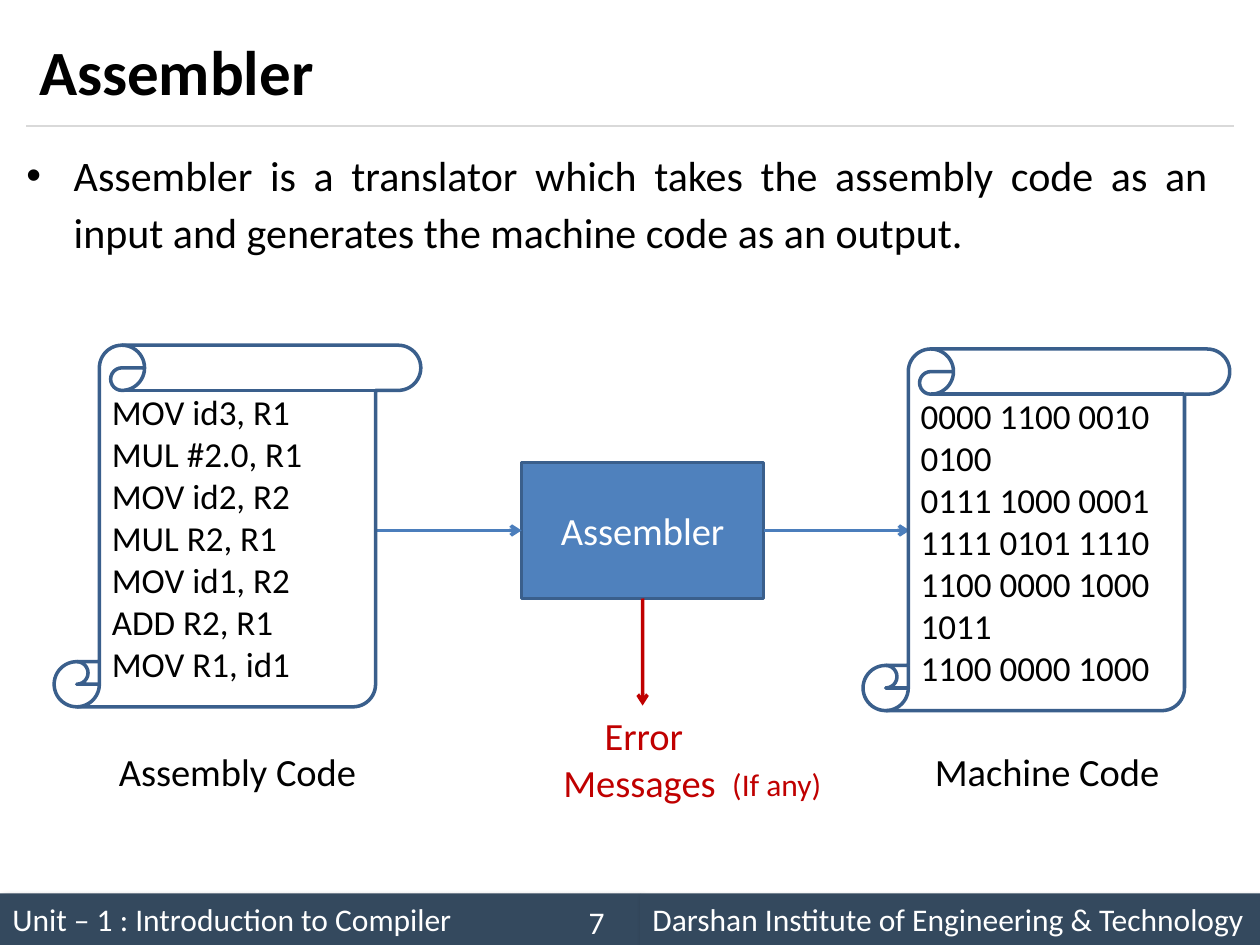
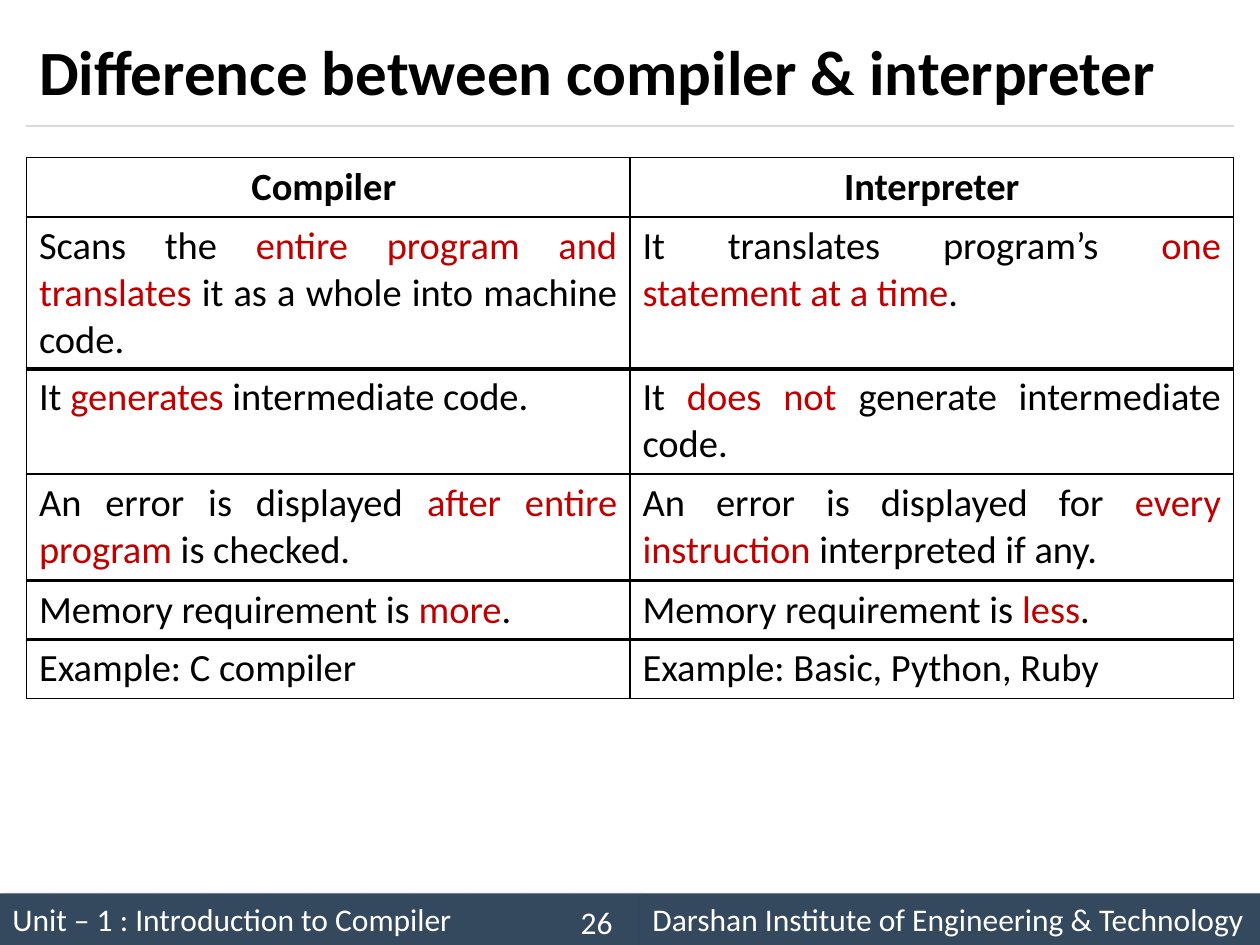
from pptx import Presentation
from pptx.dml.color import RGBColor
from pptx.enum.shapes import MSO_CONNECTOR as Conn, MSO_SHAPE as Shape
from pptx.enum.text import MSO_ANCHOR as Anchor, MSO_AUTO_SIZE as Fit, PP_ALIGN as Align
from pptx.oxml import parse_xml
from pptx.oxml.ns import nsdecls, qn
from pptx.util import Inches, Pt

FONT = "Calibri"
BLACK, WHITE, RED = "000000", "FFFFFF", "C00000"
NAVY, RULE = "34495E", "D9D9D9"
BLUE, EDGE, ARROW = "4F81BD", "3A5F8C", "4B7EBC"
LEFT, WIDTH = 0.21, 9.58
UNIT = "Unit – 1 : Introduction to Compiler"
SCHOOL = "Darshan Institute of Engineering & Technology"

ASSEMBLY = ["MOV id3, R1", "MUL #2.0, R1", "MOV id2, R2", "MUL R2, R1",
            "MOV id1, R2", "ADD R2, R1", "MOV R1, id1"]
MACHINE = ["0000 1100 0010", "0100", "0111 1000 0001", "1111 0101 1110",
           "1100 0000 1000", "1011", "1100 0000 1000"]

# Top, height, compiler text, interpreter text; asterisks enclose red words.
ROWS = [
    (1.72, 1.2, "Scans the *entire program and translates* it as a whole into machine code.",
     "It translates program’s *one statement at a time*."),
    (2.92, 0.83, "It *generates* intermediate code.",
     "It *does not *generate intermediate code."),
    (3.76, 0.83, "An error is displayed *after entire program* is checked.",
     "An error is displayed for *every instruction *interpreted if any."),
    (4.61, 0.47, "Memory requirement is *more*.", "Memory requirement is *less*."),
    (5.07, 0.47, "Example: C compiler", "Example: Basic, Python, Ruby"),
]


def rgb(code):
    return RGBColor.from_string(code)


def inches(*sizes):
    return [Inches(size) for size in sizes]


def style(para, size, color=BLACK, align=Align.LEFT, bold=False):
    para.alignment = align
    font = para.font
    font.name, font.size, font.bold = FONT, Pt(size), bold
    font.color.rgb = rgb(color)


def write(shape, lines, size, color=BLACK, align=Align.LEFT, anchor=Anchor.MIDDLE, bold=False):
    frame = shape.text_frame
    frame.text = "\n".join(lines)
    frame.word_wrap = True
    frame.auto_size = Fit.NONE
    frame.vertical_anchor = anchor
    for para in frame.paragraphs:
        style(para, size, color, align, bold)


def place(shape, *box):
    shape.left, shape.top, shape.width, shape.height = inches(*box)


def block(shapes, kind, box, fill=None, edge=None):
    shape = shapes.add_shape(kind, *inches(*box))
    shape.shadow.inherit = False
    if fill:
        shape.fill.solid()
        shape.fill.fore_color.rgb = rgb(fill)
    else:
        shape.fill.background()
    if edge:
        shape.line.color.rgb = rgb(edge)
        shape.line.width = Pt(2)
    else:
        shape.line.fill.background()
    return shape


def label(shapes, box, lines, size, color=BLACK, align=Align.CENTER):
    write(shapes.add_textbox(*inches(*box)), lines, size, color, align)


def line(slide, start, end, color, width=2, head=True):
    link = slide.shapes.add_connector(Conn.STRAIGHT, *inches(*start, *end))
    link.line.color.rgb = rgb(color)
    link.line.width = Pt(width)
    props = link._element.spPr
    if head:
        props.find(qn("a:ln")).append(
            parse_xml(f'<a:tailEnd {nsdecls("a")} type="arrow"/>'))
    props.append(parse_xml(f'<a:effectLst {nsdecls("a")}/>'))
    return link


def band(slide, box, text):
    """Footer band with a soft shadow."""
    shape = block(slide.shapes, Shape.RECTANGLE, box, NAVY)
    shape._element.spPr.find(qn("a:effectLst")).append(parse_xml(
        f'<a:outerShdw {nsdecls("a")} blurRad="{Pt(4)}" dist="{Pt(3)}" dir="2700000">'
        '<a:srgbClr val="000000"><a:alpha val="40000"/></a:srgbClr></a:outerShdw>'))
    write(shape, [text], 18, WHITE)


def page(deck, layout, title, number):
    """Add a slide with the shared title, rule and footer."""
    slide = deck.slides.add_slide(deck.slide_layouts[layout])
    line(slide, (LEFT, 1), (LEFT + WIDTH, 1), RULE, 0.75, head=False)
    band(slide, (0, 7.09, 5.08, 0.41), UNIT)
    band(slide, (5.08, 7.09, 4.92, 0.41), SCHOOL)
    label(slide.shapes, (4.39, 7.12, 0.69, 0.4), [str(number)], 18, WHITE)
    place(slide.shapes.title, LEFT, 0.12, WIDTH, 0.88)
    write(slide.shapes.title, [title], 36, bold=True)
    return slide


def scroll(slide, left, top, code, name, box):
    """Group a scroll of code with its caption."""
    shapes = slide.shapes.add_group_shape().shapes
    sheet = block(shapes, Shape.VERTICAL_SCROLL, (left, top, 2.91, 2.87), edge=EDGE)
    write(sheet, code, 20)
    label(shapes, box, [name], 22)


def border(cell):
    props = cell._tc.get_or_add_tcPr()
    for side in "LRTB":
        props.append(parse_xml(
            f'<a:ln{side} {nsdecls("a")} w="{Pt(1)}"><a:solidFill>'
            f'<a:srgbClr val="{BLACK}"/></a:solidFill></a:ln{side}>'))


def fill(cell, text, align, bold):
    border(cell)
    cell.fill.background()
    para = cell.text_frame.paragraphs[0]
    style(para, 22, align=align, bold=bold)
    for i, part in enumerate(text.split("*")):
        if part:
            run = para.add_run()
            run.text = part
            if i % 2:
                run.font.color.rgb = rgb(RED)


def strip(slide, top, height, *texts, align=Align.JUSTIFY, bold=False):
    """Add a one-row table with two equal columns."""
    table = slide.shapes.add_table(1, 2, *inches(LEFT, top, WIDTH, height)).table
    table.first_row = table.horz_banding = False
    for cell, text in zip(table.rows[0].cells, texts):
        fill(cell, text, align, bold)


def flow(deck):
    slide = page(deck, 1, "Assembler", 7)
    body = slide.placeholders[1]
    place(body, 0.11, 1.08, WIDTH, 5.83)
    write(body, ["Assembler is a translator which takes the assembly code as an "
                 "input and generates the machine code as an output."],
          24, align=Align.JUSTIFY, anchor=Anchor.TOP)
    para = body.text_frame.paragraphs[0]
    para.line_spacing = 1.14
    para.space_before = Pt(0)

    tool = block(slide.shapes, Shape.RECTANGLE, (4.14, 3.67, 1.92, 1.08), BLUE, EDGE)
    write(tool, ["Assembler"], 22, WHITE, Align.CENTER)
    line(slide, (2.97, 4.21), (4.14, 4.21), ARROW).end_connect(tool, 1)
    line(slide, (6.06, 4.21), (7.22, 4.21), ARROW).begin_connect(tool, 3)
    scroll(slide, 0.43, 2.74, ASSEMBLY, "Assembly Code", (0.84, 5.58, 2.09, 1.08))
    scroll(slide, 6.85, 2.77, MACHINE, "Machine Code", (7.22, 5.58, 2.18, 1.08))
    line(slide, (5.1, 4.75), (5.1, 5.6), RED).begin_connect(tool, 2)
    label(slide.shapes, (4.15, 5.48, 1.92, 1.08), ["Error", "Messages "], 22, RED)
    label(slide.shapes, (5.66, 6.01, 1.01, 0.42), ["(If any)"], 18, RED)


def compare(deck):
    slide = page(deck, 5, "Difference between compiler & interpreter", 26)
    strip(slide, 1.25, 0.47, "Compiler ", "Interpreter", align=Align.CENTER, bold=True)
    for row in ROWS:
        strip(slide, *row)


def main():
    deck = Presentation()
    deck.slide_width, deck.slide_height = inches(10, 7.5)
    flow(deck)
    compare(deck)
    deck.save("out.pptx")


if __name__ == "__main__":
    main()
